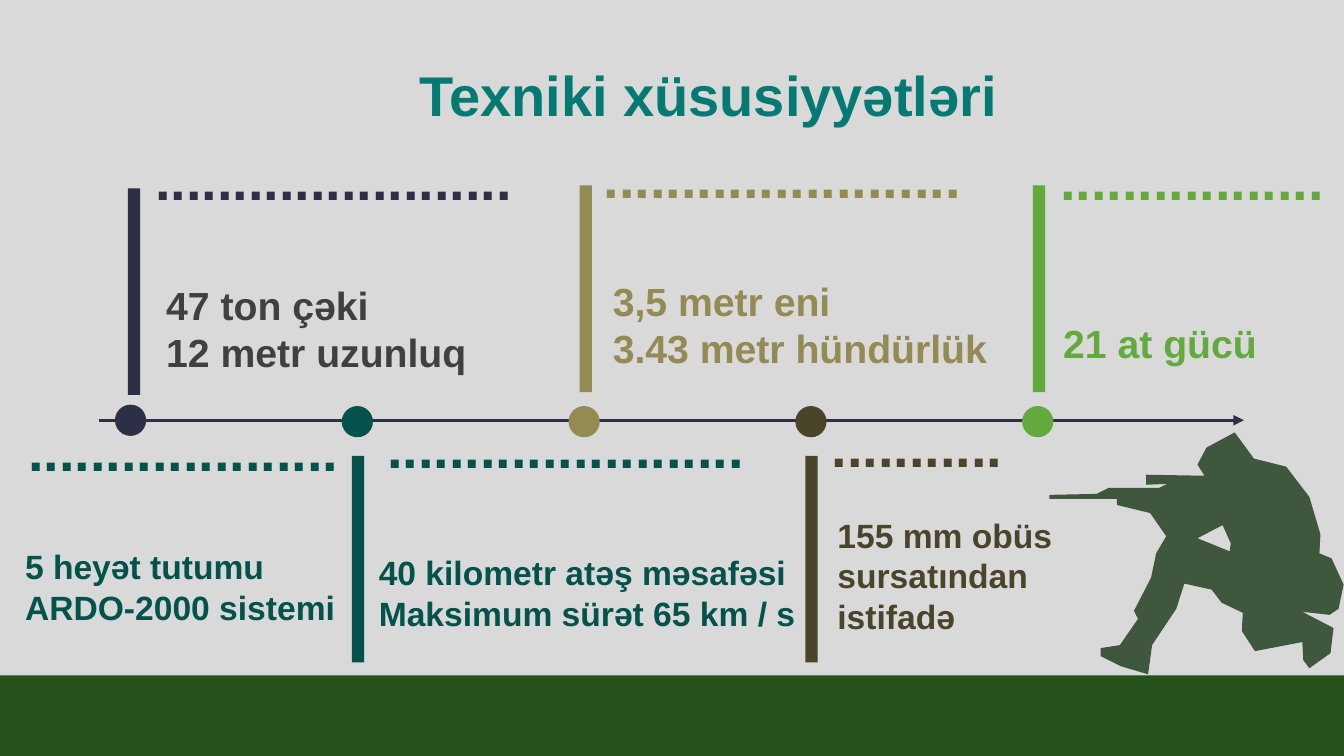
"""Build the technical-specification timeline slide."""
from lxml.etree import SubElement
from pptx import Presentation
from pptx.dml.color import RGBColor
from pptx.enum.shapes import MSO_CONNECTOR, MSO_SHAPE
from pptx.enum.text import MSO_ANCHOR, MSO_AUTO_SIZE, PP_ALIGN
from pptx.oxml.ns import qn
from pptx.util import Pt

NAVY, TEAL, SAND, BROWN, GREEN = "2C2F45", "04524C", "948A54", "4A452A", "62AA3E"
DARK_TEAL = "03524C"
TITLE = "Texniki xüsusiyyətləri"

AXIS_TOP, DOT_START, DOT_STEP, DOT_SIZE = 300.2, 82.1, 162, 22.3
BAR_WIDTH, BAR_HEIGHT = 8.8, 147.6
UPPER_BAR, LOWER_BAR = 132.5, 325.6
# colour, bar left, bar top
MILESTONES = [
    (NAVY, 91.4, UPPER_BAR + 2),
    (TEAL, 251.3, LOWER_BAR),
    (SAND, 414, UPPER_BAR),
    (BROWN, 575.3, LOWER_BAR),
    (GREEN, 737.8, UPPER_BAR),
]
# left, top, number of dots, colour
LEADERS = [
    (110.9, 103, 23, NAVY),
    (431.3, 101.5, 23, SAND),
    (757.4, 103, 17, GREEN),
    (20.2, 296.6, 20, DARK_TEAL),
    (276.5, 294.5, 23, DARK_TEAL),
    (594, 293.8, 11, BROWN),
]
# left, top, width, rows, size, colour, lines
FACTS = [
    (111.6, 197.3, 480, 2, 28, "404040", ["47 ton çəki", "12 metr uzunluq"]),
    (430.6, 194.5, 480, 2, 28, SAND, ["3,5 metr eni", "3.43 metr hündürlük"]),
    (752.4, 224.6, 155, 1, 28, GREEN, ["21 at gücü"]),
    (10.8, 386.6, 480, 2, 24, DARK_TEAL, ["5 heyət tutumu", "ARDO-2000 sistemi"]),
    (263.5, 391, 388, 2, 24, DARK_TEAL,
     ["40 kilometr atəş məsafəsi", "Maksimum sürət 65 km / s"]),
    (591.1, 364.3, 206.6, 3, 24, BROWN, ["155 mm obüs sursatından istifadə"]),
]
SOLDIER_UNIT = 0.72
SOLDIER_BODY = [
    (1225, 429), (1197, 444), (1188, 461), (1195, 472), (1137, 471), (1137, 481),
    (1158, 480), (1150, 484), (1100, 484), (1088, 490), (1041, 491), (1041, 495),
    (1108, 495), (1108, 501), (1141, 509), (1157, 532), (1147, 549), (1142, 573),
    (1125, 606), (1129, 614), (1111, 640), (1092, 643), (1092, 651), (1112, 661),
    (1139, 669), (1143, 640), (1167, 604), (1175, 579), (1202, 585), (1212, 598),
    (1233, 608), (1232, 626), (1245, 646), (1292, 637), (1293, 655), (1299, 663),
    (1320, 648), (1323, 623), (1292, 607), (1319, 610), (1328, 604), (1333, 580),
    (1321, 554), (1309, 549), (1310, 530), (1299, 493), (1276, 463), (1244, 455),
]
ARM_GAP = [(1213, 521), (1221, 539), (1220, 547), (1188, 534)]


def color(value):
    return RGBColor.from_string(value)


def paint(shape, value):
    shape.shadow.inherit = False
    shape.fill.solid()
    shape.fill.fore_color.rgb = color(value)
    shape.line.fill.background()


def write(box, lines, size, value, frame_format):
    for name, setting in frame_format.items():
        setattr(box.text_frame, name, setting)
    for index, line in enumerate(lines):
        para = box.text_frame.add_paragraph() if index else box.text_frame.paragraphs[0]
        para.alignment = PP_ALIGN.LEFT
        span = para.add_run()
        span.text = line
        font_format = {"name": "Arial", "size": Pt(size), "bold": True}
        for name, setting in font_format.items():
            setattr(span.font, name, setting)
        span.font.color.rgb = color(value)


def add_shape(page, kind, left, top, width, height, value):
    paint(page.shapes.add_shape(kind, Pt(left), Pt(top), Pt(width), Pt(height)), value)


def add_axis(page):
    axis = page.shapes.add_connector(
        MSO_CONNECTOR.STRAIGHT, Pt(70.6), Pt(AXIS_TOP), Pt(888.5), Pt(AXIS_TOP))
    axis.line.width = Pt(2.5)
    axis.line.color.rgb = color(NAVY)
    SubElement(axis.line._get_or_add_ln(), qn("a:tailEnd"), type="triangle")
    SubElement(axis._element.spPr, qn("a:effectLst"))


def add_soldier(page):
    builder = page.shapes.build_freeform(*SOLDIER_BODY[0], scale=Pt(SOLDIER_UNIT))
    builder.add_line_segments(SOLDIER_BODY[1:], close=True)
    builder.move_to(*ARM_GAP[0])
    builder.add_line_segments(ARM_GAP[1:], close=True)
    paint(builder.convert_to_shape(), "3F573C")


def main():
    deck = Presentation()
    deck.slide_width, deck.slide_height = Pt(960), Pt(540)
    page = deck.slides.add_slide(deck.slide_layouts[5])
    page.background.fill.solid()
    page.background.fill.fore_color.rgb = color("D9D9D9")

    title = page.shapes.title
    title.left, title.top, title.width, title.height = Pt(292.3), Pt(39.6), Pt(431.3), Pt(55.4)
    write(title, [TITLE], 40, "057A72", {
        "word_wrap": False, "auto_size": MSO_AUTO_SIZE.NONE,
        "vertical_anchor": MSO_ANCHOR.TOP})

    add_axis(page)
    for index, (value, bar_left, bar_top) in enumerate(MILESTONES):
        dot_top = AXIS_TOP - DOT_SIZE / 2 + (1 if index else 0)
        add_shape(page, MSO_SHAPE.OVAL, DOT_START + index * DOT_STEP, dot_top,
                  DOT_SIZE, DOT_SIZE, value)
        add_shape(page, MSO_SHAPE.RECTANGLE, bar_left, bar_top, BAR_WIDTH, BAR_HEIGHT, value)
    add_shape(page, MSO_SHAPE.RECTANGLE, 0, 482.4, 960, 57.6, "25511B")
    add_soldier(page)

    for left, top, count, value in LEADERS:
        box = page.shapes.add_textbox(Pt(left), Pt(top), Pt(count * 11.7), Pt(48.2))
        write(box, ["." * count], 40, value, {
            "word_wrap": True, "vertical_anchor": MSO_ANCHOR.MIDDLE, "margin_left": 0,
            "margin_top": 0, "margin_right": 0, "margin_bottom": 0})
    for left, top, width, rows, size, value, lines in FACTS:
        height = rows * size * 1.2 + 7.2
        box = page.shapes.add_textbox(Pt(left), Pt(top), Pt(width), Pt(height))
        write(box, lines, size, value, {"word_wrap": rows > 1})

    deck.save("out.pptx")


if __name__ == "__main__":
    main()
